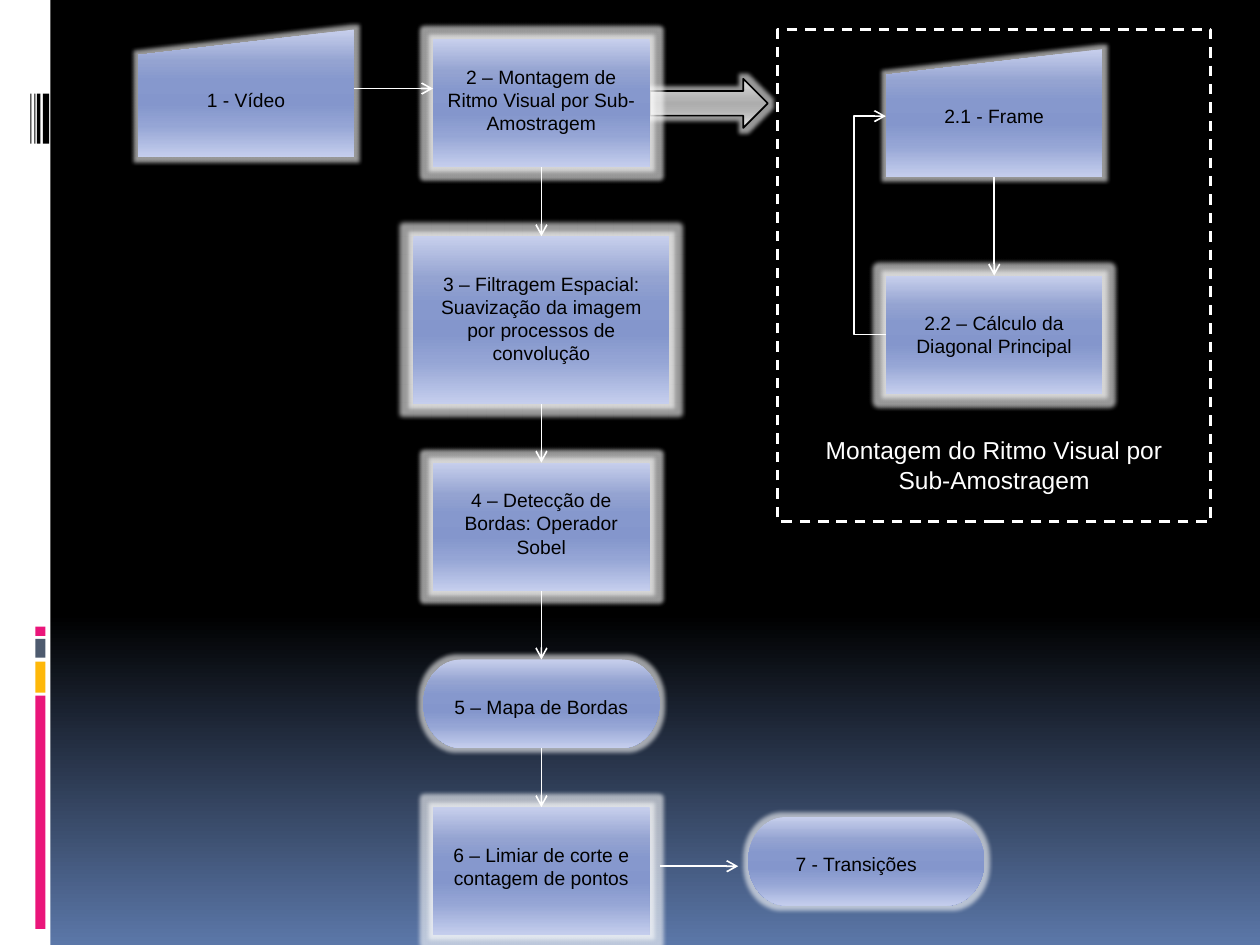
from lxml import etree
from pptx import Presentation
from pptx.dml.color import RGBColor
from pptx.enum.dml import MSO_LINE
from pptx.enum.shapes import MSO_CONNECTOR, MSO_SHAPE
from pptx.enum.text import PP_ALIGN
from pptx.oxml.ns import qn
from pptx.util import Inches, Pt

RECT = MSO_SHAPE.RECTANGLE
INPUT = MSO_SHAPE.FLOWCHART_MANUAL_INPUT
TERMINATOR = MSO_SHAPE.FLOWCHART_TERMINATOR
BLOCK_ARROW = MSO_SHAPE.RIGHT_ARROW
STRAIGHT, ELBOW = MSO_CONNECTOR.STRAIGHT, MSO_CONNECTOR.ELBOW

COLORS = {
    "white": "FFFFFF", "black": "000000",
    "pink": "EA157A", "amber": "FEB80A", "slate": "4E5B6F",
}
NIGHT = [(0, "000000"), (65, "000000"), (100, "5B77A8")]
STEP_BLUE = [(0, "C7CFEC"), (25, "94A3D1"), (40, "8698CD"), (50, "8496CC"),
             (60, "8698CD"), (75, "95A5D5"), (100, "C5CEED")]
SILVER = [(0, "E1E1E1"), (40, "B4B4B4"), (50, "ADADAD"), (65, "B4B4B4"),
          (100, "E7E7E7")]
FONT = "Arial"
THIN = Pt(0.94)
GLOW_RADIUS = Pt(5)
GLOW_ALPHA = 60

# The slide is a grid of 128 columns by 96 rows of square cells.
CELL = Inches(10) / 128


def cells(*counts):
    return [round(count * CELL) for count in counts]


def color(name):
    return RGBColor.from_string(COLORS[name])


def fill_gradient(fill, element, stops):
    """Fill from top to bottom with (percent, hex) stops."""
    fill.gradient()
    fill.gradient_angle = 270
    stop_list = next(element.iter(qn("a:gsLst")))
    for old in list(stop_list):
        stop_list.remove(old)
    for percent, value in stops:
        stop = etree.SubElement(stop_list, qn("a:gs"), pos=str(percent * 1000))
        etree.SubElement(stop, qn("a:srgbClr"), val=value)


def add_glow(shape):
    effects = shape.element.spPr.find(qn("a:effectLst"))
    glow = etree.SubElement(effects, qn("a:glow"), rad=str(GLOW_RADIUS))
    tint = etree.SubElement(glow, qn("a:srgbClr"), val=COLORS["white"])
    etree.SubElement(tint, qn("a:alpha"), val=str(GLOW_ALPHA * 1000))


def add_plain(shapes, kind, box):
    shape = shapes.add_shape(kind, *cells(*box))
    shape.shadow.inherit = False
    shape.line.fill.background()
    return shape


def add_label(shapes, text, box, size, color_name):
    label = shapes.add_textbox(*cells(*box))
    frame = label.text_frame
    frame.word_wrap = True
    frame.text = text
    paragraph = frame.paragraphs[0]
    paragraph.alignment = PP_ALIGN.CENTER
    font = paragraph.runs[0].font
    font.name, font.size, font.color.rgb = FONT, Pt(size), color(color_name)


def add_step(slide, origin, kind, box, text, label_top, label_height, label_box=None):
    """Group a glowing shape with its label; the label spans the shape
    unless label_box gives another (left, width)."""
    x, y = origin
    left, top, width, height = box
    label_left, label_width = label_box or (left, width)
    group = slide.shapes.add_group_shape()
    outline = add_plain(group.shapes, kind, (x + left, y + top, width, height))
    fill_gradient(outline.fill, outline.element, STEP_BLUE)
    add_glow(outline)
    add_label(group.shapes, text,
              (x + label_left, y + label_top, label_width, label_height), 11, "black")


def add_arrow(slide, origin, start, end, kind=STRAIGHT):
    x, y = origin
    arrow = slide.shapes.add_connector(
        kind, *cells(x + start[0], y + start[1], x + end[0], y + end[1]))
    arrow.line.color.rgb = color("white")
    arrow.line.width = THIN
    line = arrow.element.spPr.find(qn("a:ln"))
    etree.SubElement(line, qn("a:tailEnd"), type="arrow")
    etree.SubElement(arrow.element.spPr, qn("a:effectLst"))
    return arrow


def add_loop_arrow(slide, origin, start, end, reach):
    """Elbow leaving and entering on the left, bulging out by reach cells."""
    sliver = 0.02  # the bulge is given as a share of the connector's width
    arrow = add_arrow(slide, origin, (start[0] + sliver, start[1]), end, ELBOW)
    guides = arrow.element.spPr.find(qn("a:prstGeom")).get_or_add_avLst()
    share = round((reach * CELL + arrow.width) / arrow.width * 100000)
    etree.SubElement(guides, qn("a:gd"), name="adj1", fmla=f"val {share}")


def add_sidebar(slide, box):
    left, top, width, height = box
    bars = [  # shares of the sidebar: left, top, width, height
        (0, 0, 1, 1, "white"),
        (0.7, 0.736, 0.2, 0.247, "pink"),
        (0.7, 0.7, 0.2, 0.033, "amber"),
        (0.7, 0.676, 0.2, 0.02, "slate"),
        (0.7, 0.663, 0.2, 0.01, "pink"),
    ]
    stripes = [(0.85, 0.125), (0.73, 0.075), (0.68, 0.025), (0.6, 0.025)]
    bars += [(x, 0.099, w, 0.053, "black") for x, w in stripes]
    for x, y, w, h, name in bars:
        bar = add_plain(slide.shapes, RECT, (left + x * width, top + y * height,
                                             w * width, h * height))
        bar.fill.solid()
        bar.fill.fore_color.rgb = color(name)


def add_main_flow(slide, origin):
    steps = [
        (RECT, (30, 1, 22, 13), "2 – Montagem de Ritmo Visual por Sub-Amostragem", 3, 8.45),
        (RECT, (30, 44, 22, 13), "4 – Detecção de Bordas: Operador Sobel", 46, 8.45),
        (RECT, (30, 79, 22, 13), "6 – Limiar de corte e contagem de pontos", 82, 6),
        (RECT, (28, 21, 26, 17),
         "3 – Filtragem Espacial: Suavização da imagem por processos de convolução", 24, 10.8),
        (INPUT, (0, 0, 22, 13), "1 - Vídeo", 5.3, 3.7),
        (TERMINATOR, (29, 64, 24, 9), "5 – Mapa de Bordas", 67, 3.7, (30, 22)),
        (TERMINATOR, (62, 80, 24, 9), "7 - Transições", 83, 3.7, (62, 22)),
    ]
    for step in steps:
        add_step(slide, origin, *step)
    for top, bottom in [(14, 21), (38, 44), (57, 64), (73, 79)]:
        add_arrow(slide, origin, (41, top), (41, bottom))
    add_arrow(slide, origin, (22, 6), (30, 6))
    add_arrow(slide, origin, (53, 85), (61, 85))


def add_detail_arrow(slide, box):
    arrow = add_plain(slide.shapes, BLOCK_ARROW, box)
    fill_gradient(arrow.fill, arrow.element, SILVER)
    arrow.line.color.rgb = color("black")
    arrow.line.width = THIN
    add_glow(arrow)


def add_detail_panel(slide, box):
    origin = box[:2]
    frame = add_plain(slide.shapes, RECT, box)
    frame.fill.background()
    frame.line.color.rgb = color("white")
    frame.line.width = Pt(1.5)
    frame.line.dash_style = MSO_LINE.DASH
    add_step(slide, origin, RECT, (11, 25, 22, 12),
             "2.2 – Cálculo da Diagonal Principal", 28, 6)
    add_step(slide, origin, INPUT, (11, 2, 22, 13), "2.1 - Frame", 7, 3.7)
    add_arrow(slide, origin, (22, 15), (22, 25))
    add_loop_arrow(slide, origin, (11, 31), (11, 8.8), 3.2)
    add_label(slide.shapes, "Montagem do Ritmo Visual por Sub-Amostragem",
              (origin[0] + 2, origin[1] + 40.6, 40, 7.3), 14, "white")


def main():
    deck = Presentation()
    deck.slide_width, deck.slide_height = Inches(10), Inches(7.5)
    slide = deck.slides.add_slide(deck.slide_layouts[6])
    fill_gradient(slide.background.fill, slide.element, NIGHT)
    add_sidebar(slide, (0, 0, 5.12, 96))
    add_detail_arrow(slide, (66, 8, 12, 5))
    add_main_flow(slide, (14, 3))
    add_detail_panel(slide, (79, 3, 44, 50))
    deck.save("out.pptx")


if __name__ == "__main__":
    main()
